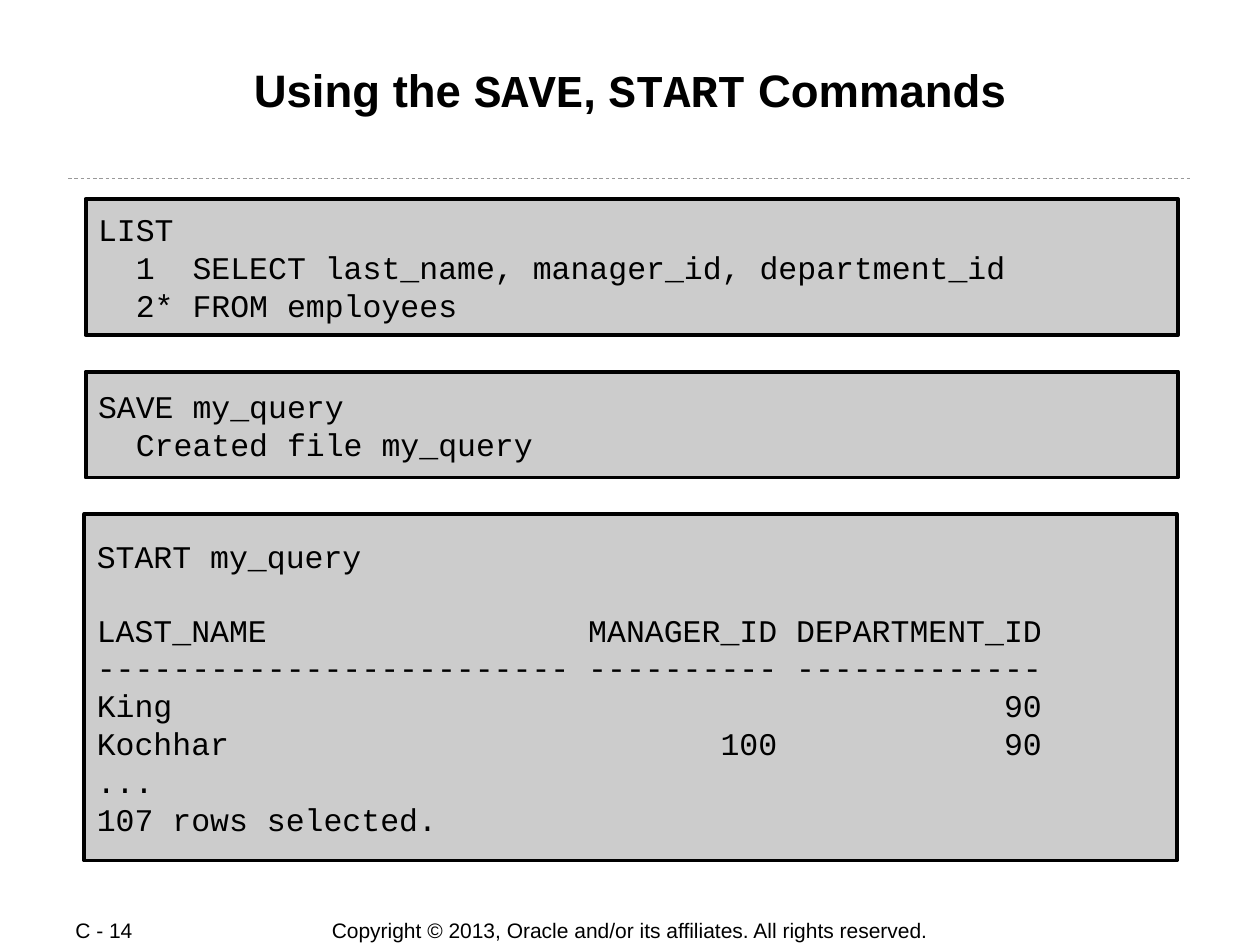
"""Build the slide on the SAVE and START commands."""
from dataclasses import dataclass

from lxml.etree import SubElement
from pptx import Presentation
from pptx.dml.color import RGBColor
from pptx.enum.dml import MSO_LINE
from pptx.enum.shapes import MSO_CONNECTOR, MSO_SHAPE
from pptx.enum.text import MSO_ANCHOR, MSO_AUTO_SIZE, PP_ALIGN
from pptx.oxml.ns import qn
from pptx.slide import Slide
from pptx.text.text import Font, TextFrame
from pptx.util import Inches, Pt

WIDTH, HEIGHT = Inches(10), Inches(7.5)
SANS, MONO = "Arial", "Courier New"
BLACK, PANEL_GREY, RULE_GREY = "000000", "CCCCCC", "999999"
CODE_SIZE = 18
CODE_LINE = 20.4


@dataclass
class CodePanel:
    """A bordered block of code; left, top and height in inches."""
    left: float
    top: float
    height: float
    code: str


@dataclass
class Footer:
    """A line of footer text; left and width in inches."""
    text: str
    left: float
    width: float
    alignment: PP_ALIGN


PANELS = [
    CodePanel(0.68, 1.58, 1.08, """LIST
  1  SELECT last_name, manager_id, department_id
  2* FROM employees"""),
    CodePanel(0.68, 2.95, 0.84, """SAVE my_query
  Created file my_query"""),
    CodePanel(0.67, 4.08, 2.75, """START my_query

LAST_NAME                 MANAGER_ID DEPARTMENT_ID
------------------------- ---------- -------------
King                                            90
Kochhar                          100            90
...
107 rows selected."""),
]
FOOTERS = [
    Footer("Copyright © 2013, Oracle and/or its affiliates. All rights reserved.",
           2.4, 5.2, PP_ALIGN.CENTER),
    Footer("C - 14", 0.5, 1.06, PP_ALIGN.LEFT),
]
TITLE_RUNS = [("Using the ", SANS), ("SAVE", MONO), (", ", SANS),
              ("START", MONO), (" Commands", SANS)]


def colour(value: str) -> RGBColor:
    """Turn a hex string into a colour."""
    return RGBColor.from_string(value)


def set_font(font: Font, name: str, size: float, bold: bool = False) -> None:
    """Give a font its face, size, weight and black colour."""
    font.name, font.size, font.bold = name, Pt(size), bold
    font.color.rgb = colour(BLACK)


def set_margins(frame: TextFrame, horizontal: float, vertical: float) -> None:
    """Set the insets of a text frame in inches."""
    frame.margin_left = frame.margin_right = Inches(horizontal)
    frame.margin_top = frame.margin_bottom = Inches(vertical)


def draw_title(slide: Slide) -> None:
    """Place the title and write its runs in two faces."""
    title = slide.shapes.title
    title.left, title.top = Inches(0.67), Inches(0.48)
    title.width, title.height = Inches(8.66), Inches(0.96)
    frame = title.text_frame
    frame.auto_size = MSO_AUTO_SIZE.NONE
    frame.vertical_anchor = MSO_ANCHOR.TOP
    set_margins(frame, 0.01, 0.01)
    paragraph = frame.paragraphs[0]
    paragraph.alignment = PP_ALIGN.CENTER
    for text, face in TITLE_RUNS:
        run = paragraph.add_run()
        run.text = text
        set_font(run.font, face, 26, True)


def draw_rule(slide: Slide) -> None:
    """Draw the dashed line under the title."""
    margin, top = Inches(0.54), Inches(1.42)
    rule = slide.shapes.add_connector(
        MSO_CONNECTOR.STRAIGHT, margin, top, WIDTH - margin, top)
    rule.line.color.rgb = colour(RULE_GREY)
    rule.line.width = Pt(0.5)
    rule.line.dash_style = MSO_LINE.DASH
    SubElement(rule._element.spPr, qn("a:effectLst"))


def draw_panel(slide: Slide, panel: CodePanel) -> None:
    """Draw a code panel, turning empty code lines into spacing."""
    shape = slide.shapes.add_shape(
        MSO_SHAPE.RECTANGLE, Inches(panel.left), Inches(panel.top),
        Inches(8.67), Inches(panel.height))
    shape.shadow.inherit = False
    shape.fill.solid()
    shape.fill.fore_color.rgb = colour(PANEL_GREY)
    shape.line.color.rgb = colour(BLACK)
    shape.line.width = Pt(2.25)
    frame = shape.text_frame
    frame.word_wrap = True
    frame.vertical_anchor = MSO_ANCHOR.MIDDLE
    set_margins(frame, 0.1, 0.01)
    first_block, *later_blocks = panel.code.split("\n\n")
    frame.text = "\n".join([first_block, *later_blocks])
    for paragraph in frame.paragraphs:
        paragraph.alignment = PP_ALIGN.LEFT
        set_font(paragraph.font, MONO, CODE_SIZE)
    block_start = len(first_block.splitlines())
    for block in later_blocks:
        frame.paragraphs[block_start].space_before = Pt(CODE_LINE)
        block_start += len(block.splitlines())


def draw_footer(slide: Slide, footer: Footer) -> None:
    """Write one footer text."""
    box = slide.shapes.add_textbox(
        Inches(footer.left), Inches(7.28), Inches(footer.width), Inches(0.21))
    frame = box.text_frame
    frame.word_wrap = True
    frame.vertical_anchor = MSO_ANCHOR.MIDDLE
    set_margins(frame, 0.1, 0)
    paragraph = frame.paragraphs[0]
    paragraph.text = footer.text
    paragraph.alignment = footer.alignment
    set_font(paragraph.font, SANS, 12)


def main() -> None:
    """Build and save the presentation."""
    presentation = Presentation()
    presentation.slide_width, presentation.slide_height = WIDTH, HEIGHT
    slide = presentation.slides.add_slide(presentation.slide_layouts[5])
    for footer in FOOTERS:
        draw_footer(slide, footer)
    draw_rule(slide)
    draw_title(slide)
    for panel in PANELS:
        draw_panel(slide, panel)
    presentation.save("out.pptx")


if __name__ == "__main__":
    main()
